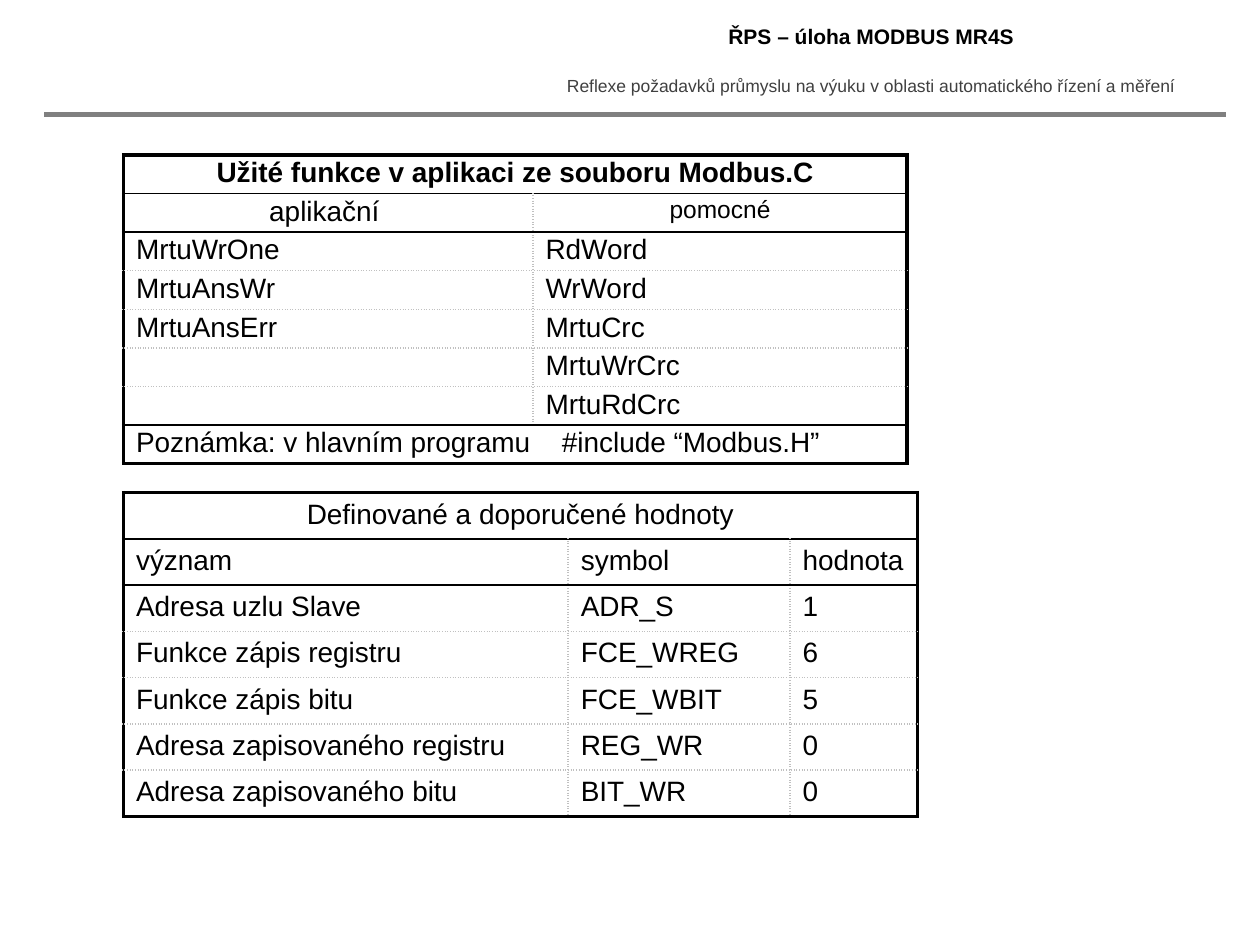
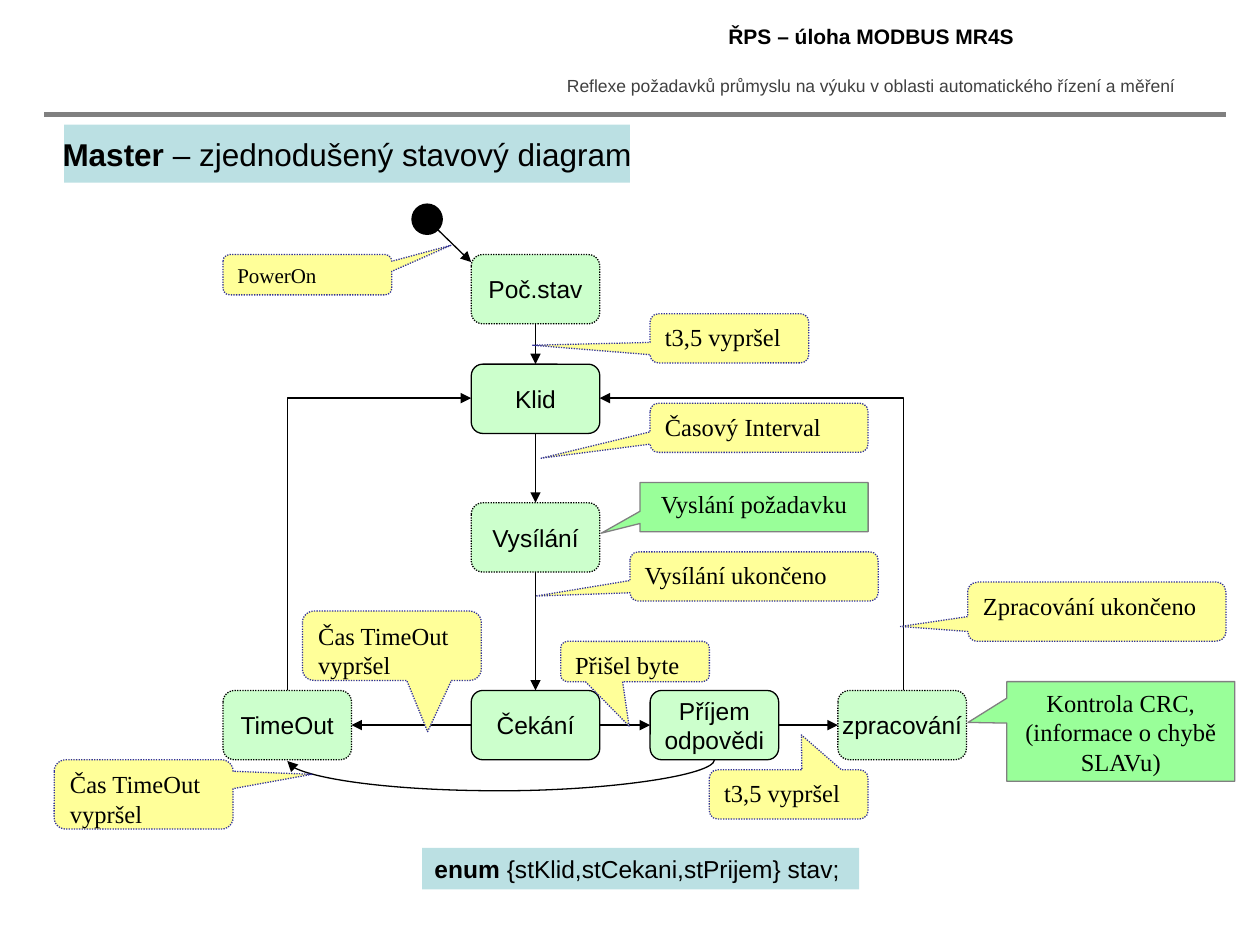
from lxml.etree import SubElement
from pptx import Presentation
from pptx.dml.color import RGBColor
from pptx.enum.dml import MSO_LINE
from pptx.enum.shapes import MSO_CONNECTOR, MSO_SHAPE
from pptx.enum.text import MSO_ANCHOR, PP_ALIGN
from pptx.oxml.ns import qn
from pptx.util import Inches, Pt

BLACK = RGBColor(0x00, 0x00, 0x00)
DARK_GREY = RGBColor(0x40, 0x40, 0x40)
GREY = RGBColor(0x80, 0x80, 0x80)
LIGHT_GREY = RGBColor(0xC0, 0xC0, 0xC0)
NAVY = RGBColor(0x33, 0x33, 0x99)
MINT = RGBColor(0xCC, 0xFF, 0xCC)
GREEN = RGBColor(0x99, 0xFF, 0x99)
YELLOW = RGBColor(0xFF, 0xFF, 0x99)
TEAL = RGBColor(0xBB, 0xE0, 0xE3)

SANS, SERIF = "Arial", "Times New Roman"
LEFT, CENTER = PP_ALIGN.LEFT, PP_ALIGN.CENTER
TOP, MIDDLE = MSO_ANCHOR.TOP, MSO_ANCHOR.MIDDLE

# Table borders: colour, width, dash
HEAVY = (BLACK, 2.25, "solid")
SOLID = (BLACK, 1, "solid")
DOTTED = (LIGHT_GREY, 1, "sysDot")

# Connection sites of a state box
SITE_TOP, SITE_LEFT, SITE_BOTTOM, SITE_RIGHT = range(4)


def grid(*cells):
    """The slide is a grid of 100 columns and 75 rows, each 0.1 inch."""
    return [Inches(cell / 10) for cell in cells]


class Deck:
    def __init__(self):
        self.presentation = Presentation()
        self.presentation.slide_width, self.presentation.slide_height = grid(100, 75)

    def new_slide(self):
        layout = self.presentation.slide_layouts[6]
        self.shapes = self.presentation.slides.add_slide(layout).shapes
        self.text_box(43, 5.5, 52.2, 2.7, "Reflexe požadavků průmyslu na výuku v oblasti "
                      "automatického řízení a měření", 10, DARK_GREY)
        self.text_box(43, 1.4, 52.3, 3.1, "ŘPS – úloha MODBUS MR4S", 12, BLACK, bold=True)
        self.line(3.5, 9.1, 97.3, 9.1, GREY, 3)

    # Text
    def set_text(self, frame, text, size, font=SANS, color=BLACK, align=CENTER,
                 bold=False, lead=""):
        """Fill a frame; the lead is a bold opening of the first line."""
        frame.text = lead or text
        if lead:
            frame.paragraphs[0].add_run().text = text
        for paragraph in frame.paragraphs:
            paragraph.alignment = align
            for run in paragraph.runs:
                run.font.name, run.font.size = font, Pt(size)
                run.font.color.rgb = color
                run.font.bold = bold
            if not paragraph.runs:
                SubElement(paragraph._p, qn("a:endParaRPr"), sz=str(size * 100))
        if lead:
            frame.paragraphs[0].runs[0].font.bold = True

    def text_box(self, x, y, w, h, text, size, color, bold=False):
        frame = self.shapes.add_textbox(*grid(x, y, w, h)).text_frame
        frame.word_wrap = True
        self.set_text(frame, text, size, color=color, bold=bold)

    # Shapes
    def shape(self, preset, x, y, w, h, fill, edge=None, dotted=False):
        shape = self.shapes.add_shape(preset, *grid(x, y, w, h))
        shape.shadow.inherit = False
        shape.fill.solid()
        shape.fill.fore_color.rgb = fill
        if edge is None:
            shape.line.fill.background()
        else:
            shape.line.color.rgb = edge
            shape.line.width = Pt(0.75)
            if dotted:
                shape.line.dash_style = MSO_LINE.ROUND_DOT
        return shape

    def label(self, shape, text, size=14, anchor=MIDDLE, wrap=False, **style):
        shape.text_frame.word_wrap = wrap
        shape.text_frame.vertical_anchor = anchor
        self.set_text(shape.text_frame, text, size, **style)

    def state(self, x, y, text, dotted=False):
        box = self.shape(MSO_SHAPE.ROUNDED_RECTANGLE, x, y, 10.2, 5.5, MINT, BLACK, dotted)
        self.label(box, text)
        return box

    def callout(self, preset, place, tip, text, fill, edge, dotted, align, size):
        """The tip is given from the centre, in shares of the callout's size."""
        bubble = self.shape(preset, *place, fill, edge, dotted)
        bubble.adjustments[0], bubble.adjustments[1] = tip
        self.label(bubble, text, size, TOP, True, font=SERIF, align=align)

    def event(self, place, tip, text, size=14):
        self.callout(MSO_SHAPE.ROUNDED_RECTANGULAR_CALLOUT, place, tip, text,
                     YELLOW, NAVY, True, LEFT, size)

    def action(self, place, tip, text):
        self.callout(MSO_SHAPE.RECTANGULAR_CALLOUT, place, tip, text,
                     GREEN, GREY, False, CENTER, 14)

    # Lines
    def line(self, x1, y1, x2, y2, color=BLACK, width=0.75, arrow=False):
        line = self.shapes.add_connector(MSO_CONNECTOR.STRAIGHT, *grid(x1, y1, x2, y2))
        line.line.color.rgb = color
        line.line.width = Pt(width)
        properties = line._element.spPr
        SubElement(properties, qn("a:effectLst"))
        if arrow:
            SubElement(properties.find(qn("a:ln")), qn("a:tailEnd"), type="triangle")
        return line

    def transition(self, source, source_site, target, target_site):
        arrow = self.line(0, 0, 1, 1, arrow=True)
        arrow.begin_connect(source, source_site)
        arrow.end_connect(target, target_site)

    def turned_arrow(self, preset, x1, y1, x2, y2, bend=None):
        """An arrow that leaves vertically: a connector turned by a quarter."""
        across, down = abs(x2 - x1), abs(y2 - y1)
        x, y = (x1 + x2 - down) / 2, (y1 + y2 - across) / 2
        arrow = self.line(x, y, x + down, y + across, arrow=True)
        frame = arrow._element.spPr.find(qn("a:xfrm"))
        frame.set("rot", str((90 if x2 < x1 else 270) * 60000))
        if x2 < x1 and y2 < y1:
            frame.set("flipH", "1")
        geometry = arrow._element.spPr.find(qn("a:prstGeom"))
        geometry.set("prst", preset)
        if bend is not None:
            SubElement(geometry.find(qn("a:avLst")), qn("a:gd"), name="adj1",
                       fmla=f"val {bend * 100000}")

    # Tables
    def border(self, cell, **sides):
        properties = cell._tc.get_or_add_tcPr()
        for place, side in enumerate("LRTB"):
            edge = properties.makeelement(qn(f"a:ln{side}"), {})
            properties.insert(place, edge)
            if sides[side] is None:
                SubElement(edge, qn("a:noFill"))
                continue
            color, width, dash = sides[side]
            edge.set("w", str(int(Pt(width))))
            SubElement(SubElement(edge, qn("a:solidFill")), qn("a:srgbClr"), val=str(color))
            SubElement(edge, qn("a:prstDash"), val=dash)

    def table(self, x, y, widths, height, rows, ruled, centered=1, bold=False, margin=0.5):
        """A row with one text spans the table; ruled rows have a solid line below."""
        last_row, last_column = len(rows) - 1, len(widths) - 1
        table = self.shapes.add_table(len(rows), len(widths),
                                      *grid(x, y, sum(widths), height)).table
        table.first_row = table.horz_banding = False
        for column, width in zip(table.columns, grid(*widths)):
            column.width = width
        for r, texts in enumerate(rows):
            table.rows[r].height = grid(height / len(rows))[0]
            spans = len(texts) == 1
            inner = None if spans else DOTTED
            rules = [HEAVY if edge in (0, last_row + 1) else
                     SOLID if edge - 1 in ruled else DOTTED for edge in (r, r + 1)]
            for c in range(len(widths)):
                cell = table.cell(r, c)
                cell.fill.background()
                cell.margin_top, cell.margin_bottom = grid(margin, margin)
                self.border(cell, L=inner if c else HEAVY, T=rules[0], B=rules[1],
                            R=HEAVY if c == last_column or spans else inner)
                if c < len(texts):
                    self.set_text(cell.text_frame, texts[c], 16, bold=bold and r == 0,
                                  align=CENTER if r < centered else LEFT)
            if spans:
                table.cell(r, 0).merge(table.cell(r, last_column))
        return table


deck = Deck()

# Slide 1: functions and values
deck.new_slide()
values = [
    ["Definované a doporučené hodnoty"],
    ["význam", "symbol", "hodnota"],
    ["Adresa uzlu Slave", "ADR_S", "1"],
    ["Funkce zápis registru", "FCE_WREG", "6"],
    ["Funkce zápis bitu", "FCE_WBIT", "5"],
    ["Adresa zapisovaného registru", "REG_WR", "0"],
    ["Adresa zapisovaného bitu", "BIT_WR", "0"],
]
deck.table(9.8, 39.1, [35.3, 17.6, 10.1], 25.7, values, ruled=(0, 1))

functions = [
    ["Užité funkce v aplikaci ze souboru Modbus.C"],
    ["aplikační ", "pomocné"],
    ["MrtuWrOne", "RdWord"],
    ["MrtuAnsWr", "WrWord"],
    ["MrtuAnsErr", "MrtuCrc"],
    ["", "MrtuWrCrc"],
    ["", "MrtuRdCrc"],
    ["Poznámka: v hlavním programu\t#include “Modbus.H”"],
]
function_table = deck.table(9.8, 12.3, [32.5, 29.7], 24.5, functions, ruled=(0, 1, 6),
                            centered=2, bold=True, margin=0.2)
helper_heading = function_table.cell(1, 1).text_frame.paragraphs[0]
helper_heading.runs[0].font.size = Pt(14)
# Tab stop between the note and its directive
note = function_table.cell(7, 0).text_frame.paragraphs[0]
stops = SubElement(note._p.get_or_add_pPr(), qn("a:tabLst"))
SubElement(stops, qn("a:tab"), pos=str(int(Inches(3.38))), algn="l")

# Slide 2: state diagram
deck.new_slide()
heading = deck.shape(MSO_SHAPE.RECTANGLE, 5.1, 9.9, 44.9, 4.6, TEAL)
deck.label(heading, " – zjednodušený stavový diagram", 18, lead="Master")
declaration = deck.shape(MSO_SHAPE.RECTANGLE, 33.5, 67.3, 34.7, 3.3, TEAL)
deck.label(declaration, "{stKlid,stCekani,stPrijem} stav;", anchor=TOP, wrap=True,
           align=LEFT, lead="enum ")

# States: one main column, one bottom row
MAIN, BOTTOM = 37.4, 54.8
initial = deck.state(MAIN, 20.2, "Poč.stav", dotted=True)
idle = deck.state(MAIN, 28.9, "Klid")
sending = deck.state(MAIN, 39.9, "Vysílání", dotted=True)
waiting = deck.state(MAIN, BOTTOM, "Čekání")
timeout = deck.state(17.7, BOTTOM, "TimeOut", dotted=True)
receiving = deck.state(51.6, BOTTOM, "Příjem\nodpovědi")
processing = deck.state(66.5, BOTTOM, "zpracování", dotted=True)
deck.shape(MSO_SHAPE.OVAL, 32.7, 16.2, 2.4, 2.4, BLACK, BLACK)

# Transitions
deck.line(34.3, 17.8, MAIN, 20.8, arrow=True)
for upper, lower in [(initial, idle), (idle, sending), (sending, waiting)]:
    deck.transition(upper, SITE_BOTTOM, lower, SITE_TOP)
for before, after in [(waiting, receiving), (receiving, processing)]:
    deck.transition(before, SITE_RIGHT, after, SITE_LEFT)
deck.transition(waiting, SITE_LEFT, timeout, SITE_RIGHT)
deck.turned_arrow("bentConnector2", 71.7, BOTTOM, 47.6, 31.6)
deck.turned_arrow("bentConnector2", 22.8, BOTTOM, MAIN, 31.6)
deck.turned_arrow("curvedConnector3", 56.7, 60.3, 22.8, 60.4, bend=25)

# Events and actions
deck.event((17.7, 20.2, 13.4, 3.2), (0.85, -0.73), "PowerOn", size=12)
deck.event((51.6, 24.9, 12.6, 3.9), (-1.24, 0.14), "t3,5 vypršel")
deck.event((51.6, 32, 17.3, 3.9), (-1, 0.62), "Časový Interval")
deck.event((50, 43.8, 19.7, 3.9), (-0.88, 0.4), "Vysílání ukončeno")
deck.event((24, 48.5, 14.2, 5.5), (0.2, 1.24), "Čas TimeOut\nvypršel")
deck.event((76.8, 46.2, 20.5, 4.7), (-0.76, 0.25), "Zpracování ukončeno")
deck.event((44.5, 50.9, 11.8, 3.2), (-0.04, 1.6), "Přišel byte")
deck.event((4.3, 60.3, 14.2, 5.5), (0.94, -0.29), "Čas TimeOut\nvypršel")
deck.event((56.3, 61.1, 12.6, 3.9), (0.08, -1.21), "t3,5 vypršel")
deck.action((50.8, 38.3, 18.1, 3.9), (-0.67, 0.53), "Vyslání požadavku")
deck.action((79.9, 54.1, 18.1, 7.9), (-0.67, -0.09),
            "Kontrola CRC,\n(informace o chybě SLAVu)")

deck.presentation.save("out.pptx")
